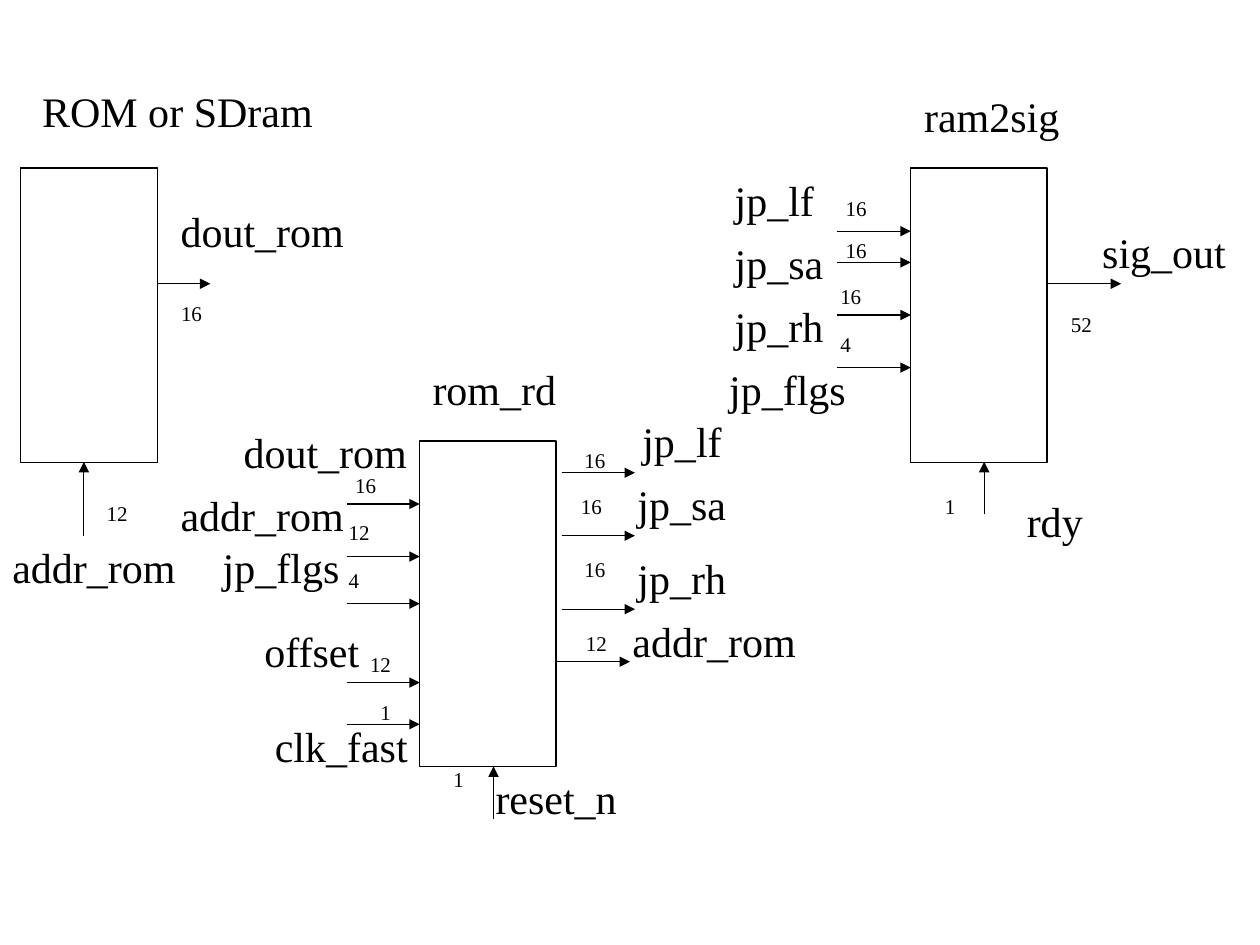
"""Block diagram of the ROM, rom_rd and ram2sig modules with their signals and bus widths."""
from lxml.etree import SubElement
from pptx import Presentation
from pptx.dml.color import RGBColor
from pptx.enum.shapes import MSO_CONNECTOR, MSO_SHAPE
from pptx.enum.text import MSO_AUTO_SIZE
from pptx.oxml.ns import qn
from pptx.util import Cm, Pt


def color(value):
    return RGBColor.from_string(value)


def add_label(page, text, left, top, width, height, size):
    box = page.shapes.add_textbox(Cm(left), Cm(top), Cm(width), Cm(height))
    frame = box.text_frame
    frame.word_wrap = False
    frame.auto_size = MSO_AUTO_SIZE.SHAPE_TO_FIT_TEXT
    span = frame.paragraphs[0].add_run()
    span.text = text
    span.font.name = "Times New Roman"
    span.font.size = Pt(size)
    span.font.color.rgb = color("000000")


deck = Presentation()
deck.slide_width = Cm(25.4)
deck.slide_height = Cm(19.05)
page = deck.slides.add_slide(deck.slide_layouts[6])

module_width = 2.75
modules = {
    "rom": (0.42, 3.39, 5.93),
    "ram2sig": (18.36, 3.39, 5.93),
    "rom_rd": (8.46, 8.89, 6.56),
}
blocks = {}
for name, (left, top, height) in modules.items():
    block = page.shapes.add_shape(
        MSO_SHAPE.RECTANGLE, Cm(left), Cm(top), Cm(module_width), Cm(height))
    block.shadow.inherit = False
    block.fill.background()
    block.line.color.rgb = color("000000")
    block.line.width = Pt(0.75)
    blocks[name] = block

arrows = [
    (1.69, 10.8, 1.69, 9.31),
    (3.17, 5.72, 4.24, 5.72),
    (21.11, 5.72, 22.6, 5.72),
    (19.84, 10.37, 19.84, 9.31),
    (11.21, 13.34, 12.7, 13.34),
    (9.95, 16.51, 9.95, 15.45),
]
arrows += [(16.88, y, 18.36, y) for y in (4.66, 5.29, 6.35, 7.41)]
arrows += [(6.99, y, 8.46, y) for y in (10.16, 11.22, 12.17, 13.76, 14.6)]
arrows += [(11.32, y, 12.8, y) for y in (9.53, 10.8, 12.28)]
middle_input = (6.99, 12.17, 8.46, 12.17)

for arrow in arrows:
    connector = page.shapes.add_connector(
        MSO_CONNECTOR.STRAIGHT, *[Cm(value) for value in arrow])
    if arrow == middle_input:
        connector.end_connect(blocks["rom_rd"], 1)
    connector.line.color.rgb = color("000000")
    connector.line.width = Pt(0.75)
    SubElement(connector.line._get_or_add_ln(), qn("a:tailEnd"), type="triangle")
    SubElement(connector._element.spPr, qn("a:effectLst"))

signals = [
    ("ROM or SDram", 6, [(0.6, 1.6)]),
    ("ram2sig", 3.26, [(18.38, 1.7)]),
    ("rom_rd", 3.04, [(8.47, 7.2)]),
    ("addr_rom", 3.84, [(0, 10.8), (3.39, 9.74), (12.5, 12.28)]),
    ("dout_rom", 3.84, [(3.39, 4.02), (4.66, 8.47)]),
    ("jp_lf", 2.15, [(14.56, 3.39), (12.7, 8.26)]),
    ("jp_sa", 2.33, [(14.56, 4.66), (12.6, 9.53)]),
    ("jp_rh", 2.33, [(14.56, 5.93), (12.6, 11.01)]),
    ("jp_flgs", 2.9, [(14.45, 7.2), (4.24, 10.8)]),
    ("sig_out", 3.04, [(21.97, 4.45)]),
    ("rdy", 1.66, [(20.45, 9.86)]),
    ("offset", 2.48, [(5.08, 12.49)]),
    ("clk_fast", 3.22, [(5.29, 14.4)]),
    ("reset_n", 2.99, [(9.74, 15.45)]),
]
for text, width, places in signals:
    for left, top in places:
        add_label(page, text, left, top, width, 1.27, 24)

bus_widths = [
    ("16", 0.95, [(3.4, 5.93), (16.8, 3.81), (16.8, 4.66), (16.69, 5.59),
                  (6.91, 9.4), (11.53, 8.89), (11.46, 9.83), (11.53, 11.1)]),
    ("12", 0.95, [(1.9, 9.96), (6.78, 10.34), (7.21, 13), (11.56, 12.58)]),
    ("52", 0.95, [(21.34, 6.15)]),
    ("4", 0.74, [(16.69, 6.56), (6.78, 11.31)]),
    ("1", 0.74, [(18.8, 9.83), (8.89, 15.32), (7.42, 13.97)]),
]
for text, width, places in bus_widths:
    for left, top in places:
        add_label(page, text, left, top, width, 0.77, 12)

deck.save("out.pptx")
